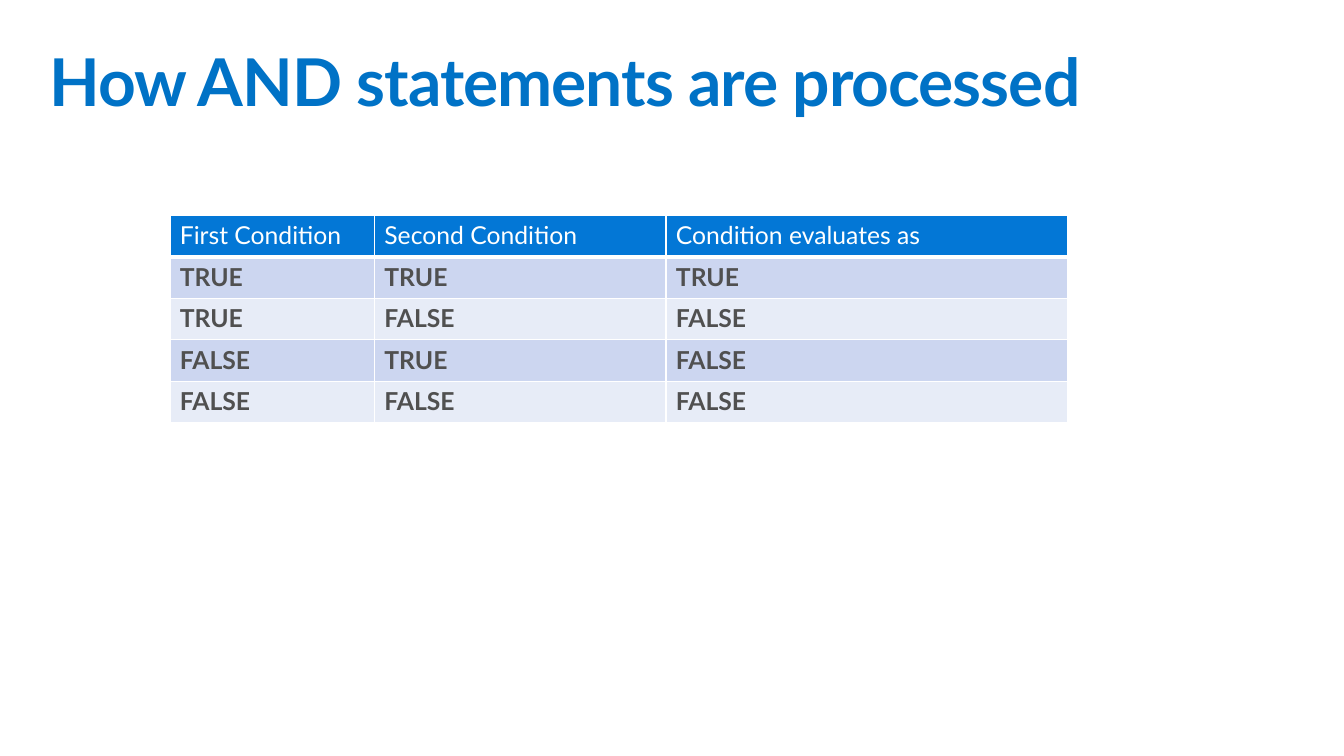
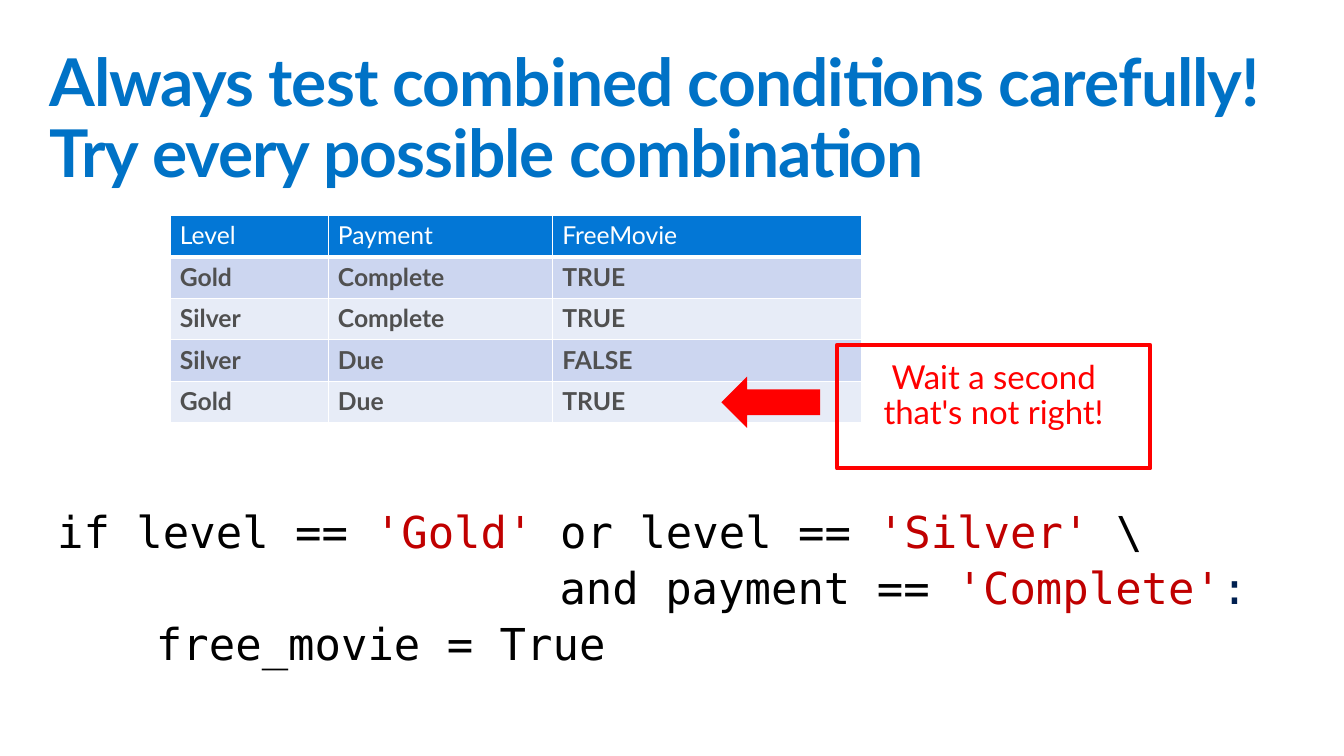
import pptx
import pptx.dml.color
import pptx.enum.shapes
import pptx.enum.text
import pptx.oxml
import pptx.oxml.ns
import pptx.util

Pt = pptx.util.Pt
SHAPE = pptx.enum.shapes.MSO_SHAPE
ALIGN = pptx.enum.text.PP_ALIGN
ANCHOR = pptx.enum.text.MSO_ANCHOR

TITLE_BLUE, HEADER_BLUE = "0072C6", "0377D6"
BAND_DARK, BAND_LIGHT = "CCD6F0", "E7ECF7"
WHITE, BLACK, GREY, NAVY = "FFFFFF", "000000", "505050", "002050"
ALERT_RED, STRING_RED = "FF0000", "C00000"
SANS, MONO = "Lato", "DejaVu Sans Mono"

TITLE_BOX = (28.8, 28.8, 921.6, 72)
TABLE_LEFT, TABLE_TOP, ROW_HEIGHT = 123.84, 156.96, 30.24

AND_TABLE = [
    ("First Condition", "Second Condition", "Condition evaluates as"),
    ("TRUE", "TRUE", "TRUE"),
    ("TRUE", "FALSE", "FALSE"),
    ("FALSE", "TRUE", "FALSE"),
    ("FALSE", "FALSE", "FALSE"),
]
MOVIE_TABLE = [
    ("Level", "Payment", "FreeMovie"),
    ("Gold", "Complete", "TRUE"),
    ("Silver", "Complete", "TRUE"),
    ("Silver", "Due", "FALSE"),
    ("Gold", "Due", "TRUE"),
]
CODE_LINES = [
    (0, [("if level == ", BLACK), ("'Gold' ", STRING_RED), ("or level == ", BLACK),
         ("'Silver' ", STRING_RED), ("\\", BLACK)]),
    (366, [("and payment == ", BLACK), ("'Complete'", STRING_RED), (":", NAVY)]),
    (72, [("free_movie = True", BLACK)]),
]


def rgb(value):
    """Turn a hex string into a colour."""
    return pptx.dml.color.RGBColor.from_string(value)


def points(box):
    """Turn a box of numbers into lengths in points."""
    return [Pt(length) for length in box]


def style_font(font, name, size, color=None, bold=False):
    """Apply name, size, weight and colour to a font."""
    font.name, font.size, font.bold = name, Pt(size), bold
    if color:
        font.color.rgb = rgb(color)


def set_margins(frame, across, down):
    """Set the frame's inner margins, wrapping and top anchor."""
    frame.margin_left = frame.margin_right = Pt(across)
    frame.margin_top = frame.margin_bottom = Pt(down)
    frame.word_wrap = True
    frame.vertical_anchor = ANCHOR.TOP
    frame.auto_size = pptx.enum.text.MSO_AUTO_SIZE.NONE


def add_titled_slide(deck, text, box=TITLE_BOX):
    """Add a title-only slide with the shared title style."""
    slide = deck.slides.add_slide(deck.slide_layouts[5])
    title = slide.shapes.title
    title.left, title.top, title.width, title.height = points(box)
    frame = title.text_frame
    frame.text = text
    set_margins(frame, 7.2, 7.2)
    heading = frame.paragraphs[0]
    heading.alignment = ALIGN.LEFT
    heading.line_spacing = 0.9
    style_font(heading.font, SANS, 48, TITLE_BLUE, True)
    for run in heading.runs:
        run.font._element.set("spc", "-70")
    return slide


def add_cell_borders(cell, bottom_width):
    """Draw white borders around a table cell."""
    properties = cell._tc.get_or_add_tcPr()
    for side, width in (("L", 1), ("R", 1), ("T", 1), ("B", bottom_width)):
        properties.append(pptx.oxml.parse_xml(
            f'<a:ln{side} {pptx.oxml.ns.nsdecls("a")} w="{Pt(width)}">'
            f'<a:solidFill><a:srgbClr val="{WHITE}"/></a:solidFill></a:ln{side}>'))


def add_condition_table(slide, rows, left, top, widths):
    """Add a banded table with a blue header row."""
    box = points((left, top, sum(widths), ROW_HEIGHT * len(rows)))
    table = slide.shapes.add_table(len(rows), len(widths), *box).table
    for column, width in zip(table.columns, widths):
        column.width = Pt(width)
    for row_index, values in enumerate(rows):
        table.rows[row_index].height = Pt(ROW_HEIGHT)
        is_header = row_index == 0
        band = HEADER_BLUE if is_header else (BAND_LIGHT, BAND_DARK)[row_index % 2]
        for column_index, value in enumerate(values):
            cell = table.cell(row_index, column_index)
            add_cell_borders(cell, 3 if is_header else 1)
            cell.fill.solid()
            cell.fill.fore_color.rgb = rgb(band)
            cell.text = value
            style_font(cell.text_frame.paragraphs[0].font, SANS, 18,
                       WHITE if is_header else GREY, not is_header)


def add_code(slide, lines, box):
    """Add indented code lines with coloured parts."""
    frame = slide.shapes.add_textbox(*points(box)).text_frame
    set_margins(frame, 7.2, 7.2)
    for index, (indent, parts) in enumerate(lines):
        line = frame.add_paragraph() if index else frame.paragraphs[0]
        line.line_spacing = 0.9
        line.space_before = Pt(6)
        line._p.get_or_add_pPr().set("marL", str(Pt(indent)))
        style_font(line.font, MONO, 32)
        for text, color in parts:
            run = line.add_run()
            run.text = text
            run.font.color.rgb = rgb(color)


def add_warning(slide, text, box):
    """Add a red framed remark with an arrow pointing left from it."""
    left, top, width, height = box
    arrow = slide.shapes.add_shape(
        SHAPE.RIGHT_ARROW, *points((left - 84.24, top + 23.04, 72, 37.44)))
    arrow.rotation = 180
    arrow.shadow.inherit = False
    arrow.fill.solid()
    arrow.fill.fore_color.rgb = rgb(ALERT_RED)
    arrow.line.fill.background()

    remark = slide.shapes.add_shape(SHAPE.RECTANGLE, *points(box))
    remark.shadow.inherit = False
    remark.fill.background()
    remark.line.color.rgb = rgb(ALERT_RED)
    remark.line.width = Pt(3)
    frame = remark.text_frame
    frame.text = text
    set_margins(frame, 14.4, 11.52)
    paragraph = frame.paragraphs[0]
    paragraph.alignment = ALIGN.CENTER
    paragraph.line_spacing = 0.9
    style_font(paragraph.font, SANS, 24, ALERT_RED)


def main():
    """Build both slides and save the deck."""
    deck = pptx.Presentation()
    deck.slide_width, deck.slide_height = Pt(979.2), Pt(550.8)

    and_slide = add_titled_slide(deck, "How AND statements are processed")
    add_condition_table(and_slide, AND_TABLE, TABLE_LEFT, TABLE_TOP, (149.04, 212.4, 292.32))

    test_slide = add_titled_slide(
        deck, "Always test combined conditions carefully!\vTry every possible combination")
    add_condition_table(test_slide, MOVIE_TABLE, TABLE_LEFT, TABLE_TOP, (115.2, 163.44, 225.36))
    add_code(test_slide, CODE_LINES, (34.56, 365, 910.8, 140))
    add_warning(test_slide, "Wait a second that's not right!", (609.84, 251.28, 228.24, 90))

    deck.save("out.pptx")


if __name__ == "__main__":
    main()
